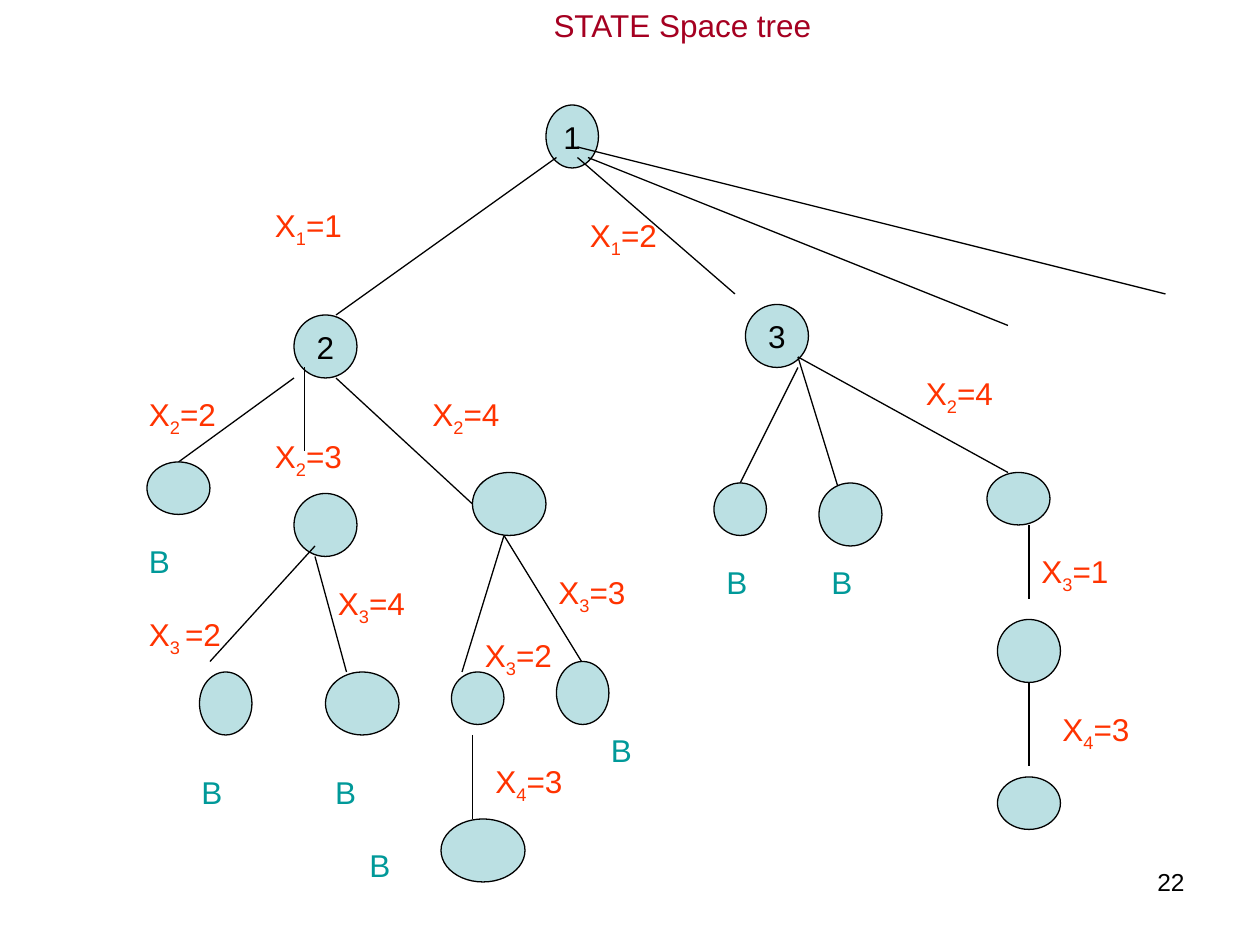
from pptx import Presentation
from pptx.dml.color import RGBColor
from pptx.enum.shapes import MSO_CONNECTOR, MSO_SHAPE
from pptx.enum.text import MSO_ANCHOR, MSO_AUTO_SIZE, PP_ALIGN
from pptx.oxml.ns import qn
from pptx.util import Inches, Pt
from lxml import etree

OVAL, STRAIGHT = MSO_SHAPE.OVAL, MSO_CONNECTOR.STRAIGHT
LEFT, CENTER, RIGHT = PP_ALIGN.LEFT, PP_ALIGN.CENTER, PP_ALIGN.RIGHT
TOP, MIDDLE = MSO_ANCHOR.TOP, MSO_ANCHOR.MIDDLE
NO_FIT = MSO_AUTO_SIZE.NONE

THEME = {
    "font": "Arial", "size": 18, "page_size": 14, "line_width": 0.75,
    "ink": RGBColor.from_string("000000"),
    "node": RGBColor.from_string("BBE0E3"),
    "title": RGBColor.from_string("A50021"),
    "choice": RGBColor.from_string("FF3300"),
    "bound": RGBColor.from_string("009999"),
}

# The slide is a grid of 120 columns and 90 rows
prs = Presentation()
prs.slide_width, prs.slide_height = Inches(10), Inches(7.5)
CELL = prs.slide_width / 120
slide = prs.slides.add_slide(prs.slide_layouts[5])


def grid(*cells):
    return [round(cell * CELL) for cell in cells]


def write(frame, text, color=THEME["ink"], size=THEME["size"], align=LEFT,
          anchor=TOP, wrap=True):
    """Write text; a part between underscores is set as a subscript."""
    frame.auto_size, frame.word_wrap, frame.vertical_anchor = NO_FIT, wrap, anchor
    paragraph = frame.paragraphs[0]
    paragraph.alignment = align
    for index, part in enumerate(text.split("_")):
        run = paragraph.add_run()
        run.text = part
        run.font.name, run.font.size = THEME["font"], Pt(size)
        run.font.color.rgb = color
        if index % 2:
            run.font._element.set("baseline", "-25000")


# Title
title = slide.shapes.title
title.left, title.top, title.width, title.height = grid(20, 0, 90, 4.8)
write(title.text_frame, "STATE Space tree", color=THEME["title"], align=CENTER)

# Tree levels: nodes (column, row, width, height, number), then the branches
# that leave them (from column, row, to column, row)
levels = [
    ([(52, 10, 5, 6, "1")],
     [(53, 15, 32, 30), (55, 15, 70, 28), (56, 15, 96, 31), (55, 14, 111, 28)]),
    ([(28, 30, 6, 6, "2"), (71, 29, 6, 6, "3")],
     [(28, 36, 17, 44), (29, 35, 29, 43), (32, 36, 45, 48),
      (76, 35, 70, 47), (76, 34, 80, 47), (76, 34, 96, 45)]),
    ([(14, 44, 6, 5, ""), (28, 47, 6, 6, ""), (45, 45, 7, 6, ""),
      (68, 46, 5, 5, ""), (78, 46, 6, 6, ""), (94, 45, 6, 5, "")],
     [(30, 52, 20, 63), (30, 53, 33, 64), (48, 51, 44, 64),
      (48, 51, 56, 64), (98, 50, 98, 57)]),
    ([(19, 64, 5, 6, ""), (31, 64, 7, 6, ""), (43, 64, 5, 5, ""),
      (53, 63, 5, 6, ""), (95, 59, 6, 6, "")],
     [(45, 70, 45, 78), (98, 65, 98, 73)]),
    ([(42, 78, 8, 6, ""), (95, 74, 6, 5, "")], []),
]
for nodes, branches in levels:
    for *place, number in nodes:
        node = slide.shapes.add_shape(OVAL, *grid(*place))
        node.shadow.inherit = False
        node.fill.solid()
        node.fill.fore_color.rgb = THEME["node"]
        node.line.color.rgb = THEME["ink"]
        node.line.width = Pt(THEME["line_width"])
        if number:
            write(node.text_frame, number, align=CENTER, anchor=MIDDLE, wrap=False)
    for ends in branches:
        branch = slide.shapes.add_connector(STRAIGHT, *grid(*ends))
        branch.line.color.rgb = THEME["ink"]
        branch.line.width = Pt(THEME["line_width"])
        etree.SubElement(branch._element.spPr, qn("a:effectLst"))

# Choices made along the branches (column, row, width, text)
choices = [
    (25, 19, 12, "X_1_=1"), (55, 20, 11, "X_1_=2"),
    (13, 37, 10, "X_2_=2"), (25, 41, 10, "X_2_=3"), (40, 37, 9, "X_2_=4"),
    (13, 58, 11, "X_3 _=2"), (31, 55, 11, "X_3_=4"),
    (45, 60, 9, "X_3_=2"), (52, 54, 10, "X_3_=3"), (46, 72, 11, "X_4_=3"),
    (87, 35, 13, "X_2_=4"), (98, 52, 12, "X_3_=1"), (100, 67, 10, "X_4_=3"),
]
for column, row, width, choice in choices:
    label = slide.shapes.add_textbox(*grid(column, row, width, 5.25))
    write(label.text_frame, choice, color=THEME["choice"])

# Bounded nodes
for column, row in [(13, 51), (18, 73), (30.75, 73), (34, 80), (57, 69),
                    (68, 53), (78, 53)]:
    mark = slide.shapes.add_textbox(*grid(column, row, 6, 4.8))
    write(mark.text_frame, "B", color=THEME["bound"])

# Page number
page = slide.shapes.add_textbox(*grid(86, 82, 28, 6.25))
write(page.text_frame, "22", size=THEME["page_size"], align=RIGHT)

prs.save("out.pptx")
